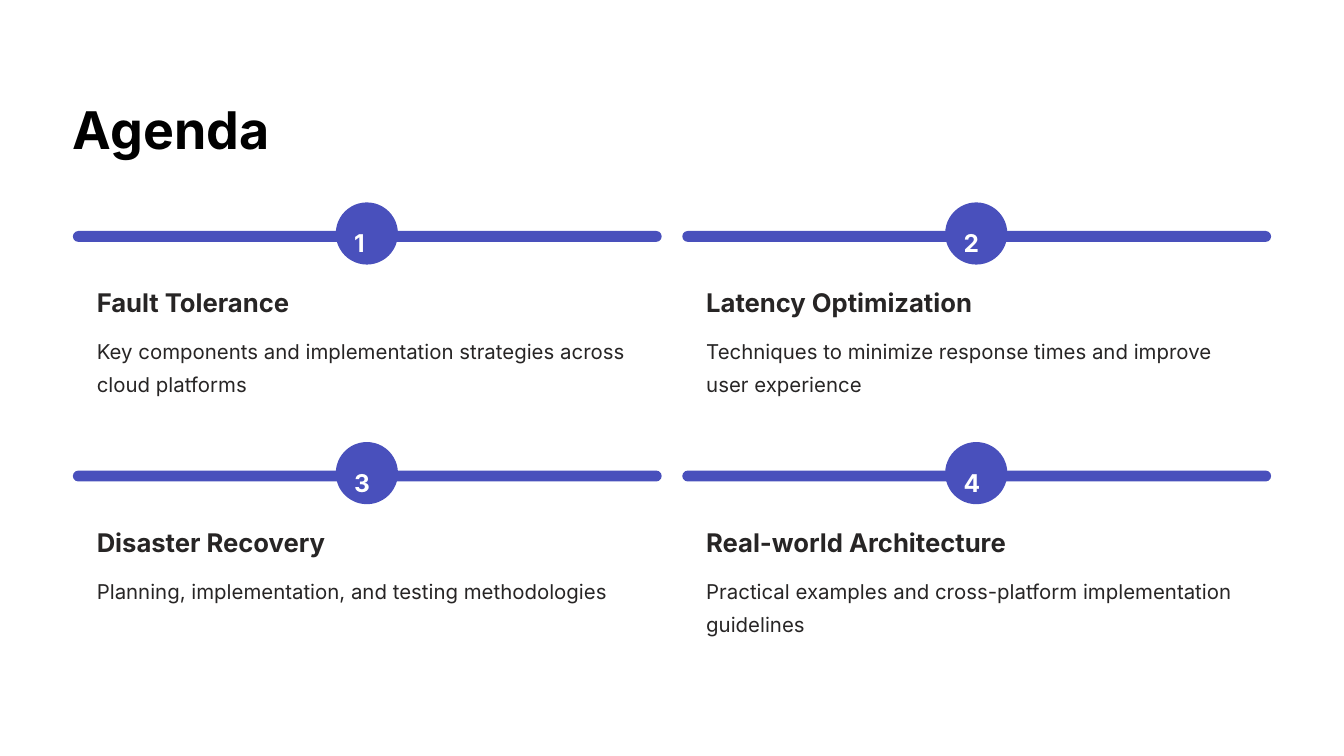
from dataclasses import dataclass

from pptx import Presentation
from pptx import util as u
from pptx.dml.color import RGBColor
from pptx.enum import shapes, text


@dataclass(frozen=True)
class Theme:
    font: str = "Inter"
    paper: str = "FFFFFF"
    title: str = "000000"
    ink: str = "272525"
    accent: str = "4950BC"
    # Type styles: size and line spacing in points, bold
    title_type: tuple = (44.5, 55.5, True)
    number_type: tuple = (21, 34, True)
    heading_type: tuple = (22, 27.5, True)
    body_type: tuple = (17.5, 28.5, False)


class Deck:
    """Places elements on a grid of 64 columns and 36 rows."""
    COLS, ROWS = 64, 36

    def __init__(self, theme):
        self.theme = theme
        self.prs = Presentation()
        self.prs.slide_width, self.prs.slide_height = u.Inches(16), u.Inches(9)
        self.slide = self.prs.slides.add_slide(self.prs.slide_layouts[6])
        fill = self.slide.background.fill
        fill.solid()
        fill.fore_color.rgb = RGBColor.from_string(theme.paper)

    def box(self, col, row, cols, rows):
        dx = self.prs.slide_width / self.COLS
        dy = self.prs.slide_height / self.ROWS
        return [round(v) for v in (col * dx, row * dy, cols * dx, rows * dy)]

    def pill(self, *area):
        """Rectangle with fully rounded ends."""
        sp = self.slide.shapes.add_shape(
            shapes.MSO_SHAPE.ROUNDED_RECTANGLE, *self.box(*area))
        sp.adjustments[0] = 0.5
        sp.shadow.inherit = False
        sp.fill.solid()
        sp.fill.fore_color.rgb = RGBColor.from_string(self.theme.accent)
        sp.line.fill.background()

    def label(self, words, area, style, color, wrap=False):
        size, spacing, bold = style
        tf = self.slide.shapes.add_textbox(*self.box(*area)).text_frame
        tf.margin_left = tf.margin_right = tf.margin_top = tf.margin_bottom = 0
        tf.word_wrap = wrap
        tf.vertical_anchor = text.MSO_ANCHOR.TOP
        p = tf.paragraphs[0]
        p.line_spacing = u.Pt(spacing)
        r = p.add_run()
        r.text = words
        r.font.name = self.theme.font
        r.font.size = u.Pt(size)
        r.font.bold = bold
        r.font.color.rgb = RGBColor.from_string(color)

    def topic(self, col, row, number, heading, body):
        t = self.theme
        # Bar with its numbered badge
        self.pill(col, row, CARD_COLS, 0.52)
        self.pill(col + 12.52, row - 1.36, 2.96, 2.96)
        self.label(str(number), (col + 13.4, row - 0.62, 1.2, 1.48),
                   t.number_type, t.paper)
        # Heading and description
        self.label(heading, (col + 1.14, row + 2.6, 16, 1.56),
                   t.heading_type, t.ink)
        self.label(body, (col + 1.14, row + 4.74, 25.8, 3.16),
                   t.body_type, t.ink, wrap=True)


LEFT, TOP = 3.47, 11
CARD_COLS, COL_GAP = 28.04, 0.98
ROW_STEP = 11.41

TOPICS = [
    ("Fault Tolerance",
     "Key components and implementation strategies across cloud platforms"),
    ("Latency Optimization",
     "Techniques to minimize response times and improve user experience"),
    ("Disaster Recovery",
     "Planning, implementation, and testing methodologies"),
    ("Real-world Architecture",
     "Practical examples and cross-platform implementation guidelines"),
]


def main():
    theme = Theme()
    deck = Deck(theme)

    # Title
    deck.label("Agenda", (LEFT, 4.53, 24.8, 3.12), theme.title_type, theme.title)

    # Topics, two to a row
    for i, (heading, body) in enumerate(TOPICS):
        row, col = divmod(i, 2)
        deck.topic(LEFT + col * (CARD_COLS + COL_GAP), TOP + row * ROW_STEP,
                   i + 1, heading, body)

    deck.prs.save("out.pptx")


if __name__ == "__main__":
    main()
